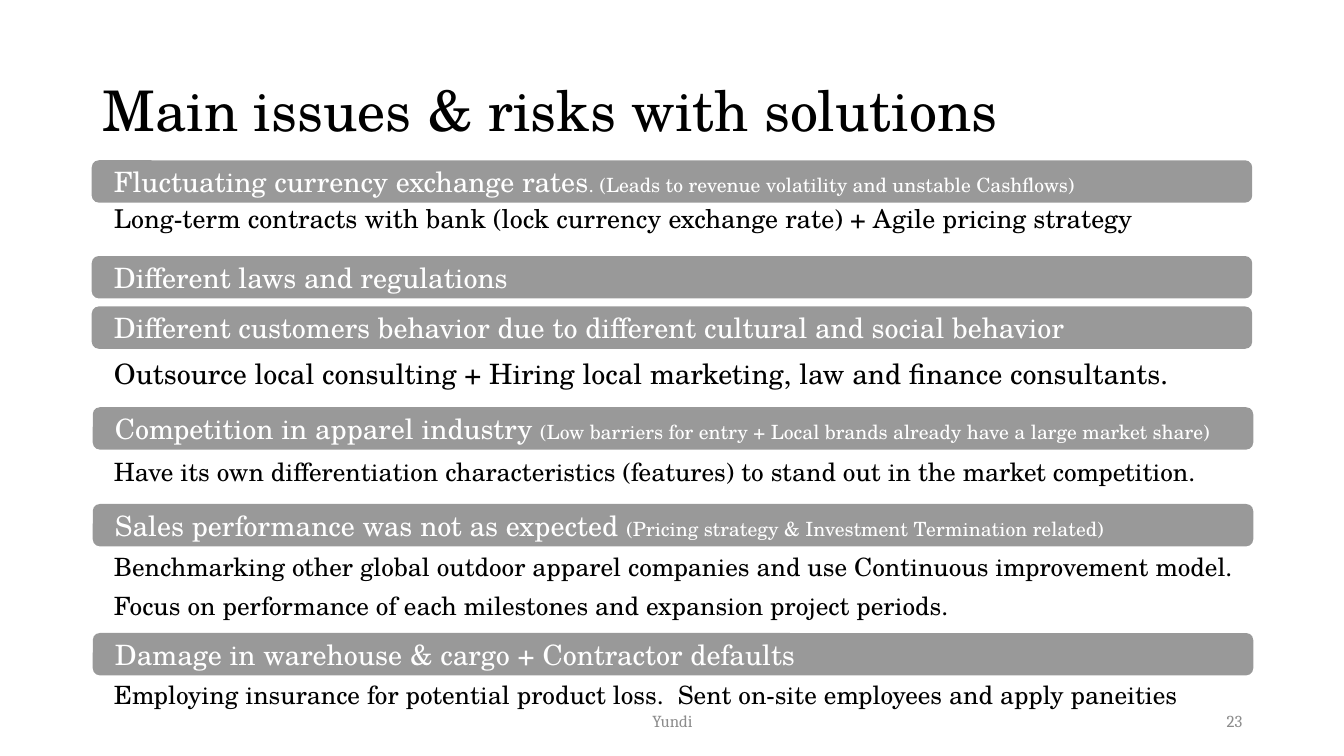
"""Build the slide on main issues, risks and their solutions."""
from lxml.etree import SubElement
from pptx import Presentation
from pptx.dml.color import RGBColor
from pptx.enum.shapes import MSO_SHAPE
from pptx.enum.text import MSO_ANCHOR as Anchor, PP_ALIGN as Align
from pptx.oxml.ns import qn
from pptx.util import Inches, Pt

BLACK = RGBColor(0x00, 0x00, 0x00)
WHITE = RGBColor(0xFF, 0xFF, 0xFF)
GRAY = RGBColor(0x8C, 0x8C, 0x8C)
BODY_FONT = "TeX Gyre Schola"
FOOTER_FONT = "Cambria"

TITLE = "Main issues & risks with solutions"
ISSUES = [
    (0.91, 1.59, [("Fluctuating currency exchange rates", 20),
                  (". (Leads to revenue volatility and unstable Cashflows)", 14)]),
    (0.91, 2.54, [("Different laws and regulations", 20)]),
    (0.91, 3.04, [("Different customers behavior due to different cultural and social behavior", 20)]),
    (0.92, 4.04, [("Competition in apparel industry", 20), (" ", 19),
                  ("(Low barriers for entry + Local brands already have a large market share)", 14)]),
    (0.92, 5.0, [("Sales performance was not as expected ", 20),
                 ("(Pricing strategy & Investment Termination related)", 14)]),
    (0.92, 6.28, [("Damage in warehouse & cargo + Contractor defaults", 20)]),
]
SOLUTIONS = [
    (2.0, 0.42, 18.5, 0.9,
     ["Long-term contracts with bank (lock currency exchange rate) + Agile pricing strategy"]),
    (3.45, 0.42, 20, 1.1,
     ["Outsource local consulting + Hiring local marketing, law and finance consultants."]),
    (4.45, 0.5, 18, 1.1,
     ["Have its own differentiation characteristics (features) to stand out in the market competition."]),
    (5.42, 0.93, 18, 1.0,
     ["Benchmarking other global outdoor apparel companies and use Continuous improvement model.",
      "Focus on performance of each milestones and expansion project periods."]),
    (6.69, 0.51, 18, 1.0,
     ["Employing insurance for potential product loss.  Sent on-site employees and apply paneities"]),
]
FOOTERS = [("Yundi", 4.42, 4.5, Align.CENTER), ("23", 9.42, 3, Align.RIGHT)]

LEFT, BAR_WIDTH, BAR_HEIGHT = 0.91, 11.51, 0.42
INDENT = 0.22
LABEL_RISE, LABEL_HEIGHT = 0.04, 0.54
BAR_ALPHA = "40000"


def add_text(slide, paragraphs, left, top, width, height, *, color=BLACK, font=BODY_FONT,
             align=Align.LEFT, anchor=Anchor.TOP, spacing=1.0, indent=INDENT, right=0,
             before=2, after=4):
    """Add a text box whose paragraphs are lists of (text, size) runs."""
    frame = slide.shapes.add_textbox(Inches(left), Inches(top), Inches(width), Inches(height)).text_frame
    frame.word_wrap = True
    frame.vertical_anchor = anchor
    frame.margin_left, frame.margin_right = Inches(indent), Inches(right)
    for index, runs in enumerate(paragraphs):
        paragraph = frame.add_paragraph() if index else frame.paragraphs[0]
        paragraph.alignment = align
        paragraph.line_spacing = spacing
        paragraph.space_before = Pt(before if index else 0)
        paragraph.space_after = Pt(after)
        for text, size in runs:
            run = paragraph.add_run()
            run.text = text
            run.font.size = Pt(size)
            run.font.name = font
            run.font.color.rgb = color


def add_bar(slide, left, top):
    """Add one translucent rounded bar."""
    bar = slide.shapes.add_shape(MSO_SHAPE.ROUNDED_RECTANGLE, Inches(left), Inches(top),
                                 Inches(BAR_WIDTH), Inches(BAR_HEIGHT))
    bar.shadow.inherit = False
    bar.fill.solid()
    bar.fill.fore_color.rgb = BLACK
    bar.line.fill.background()
    tint = bar._element.spPr.find(qn("a:solidFill")).find(qn("a:srgbClr"))
    SubElement(tint, qn("a:alpha")).set("val", BAR_ALPHA)


def main():
    """Lay out the slide and save it."""
    deck = Presentation()
    deck.slide_width, deck.slide_height = Inches(13.33), Inches(7.5)
    slide = deck.slides.add_slide(deck.slide_layouts[6])

    add_text(slide, [[(TITLE, 40)]], 0.92, 0.4, 11.5, 1.45, anchor=Anchor.MIDDLE,
             spacing=0.9, indent=0.1, right=0.1, after=0)
    for left, top, runs in ISSUES:
        add_bar(slide, left, top)
        add_text(slide, [runs], left, top - LABEL_RISE, BAR_WIDTH, LABEL_HEIGHT,
                 color=WHITE, spacing=1.1)
    for top, height, size, spacing, lines in SOLUTIONS:
        add_text(slide, [[(line, size)] for line in lines], LEFT, top, BAR_WIDTH, height,
                 spacing=spacing)
    for text, left, width, align in FOOTERS:
        add_text(slide, [[(text, 12)]], left, 6.95, width, 0.4, color=GRAY, font=FOOTER_FONT,
                 align=align, anchor=Anchor.MIDDLE, indent=0.1, right=0.1, after=0)

    deck.save("out.pptx")


if __name__ == "__main__":
    main()
